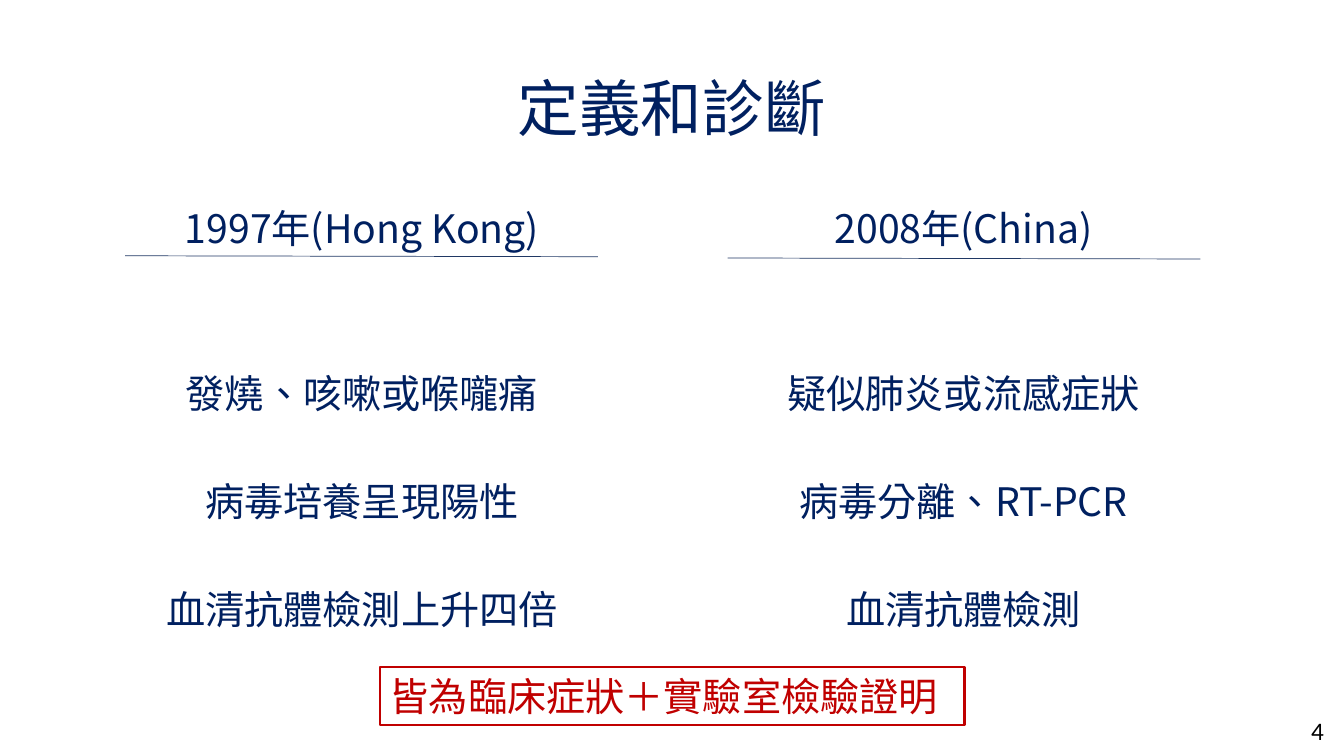
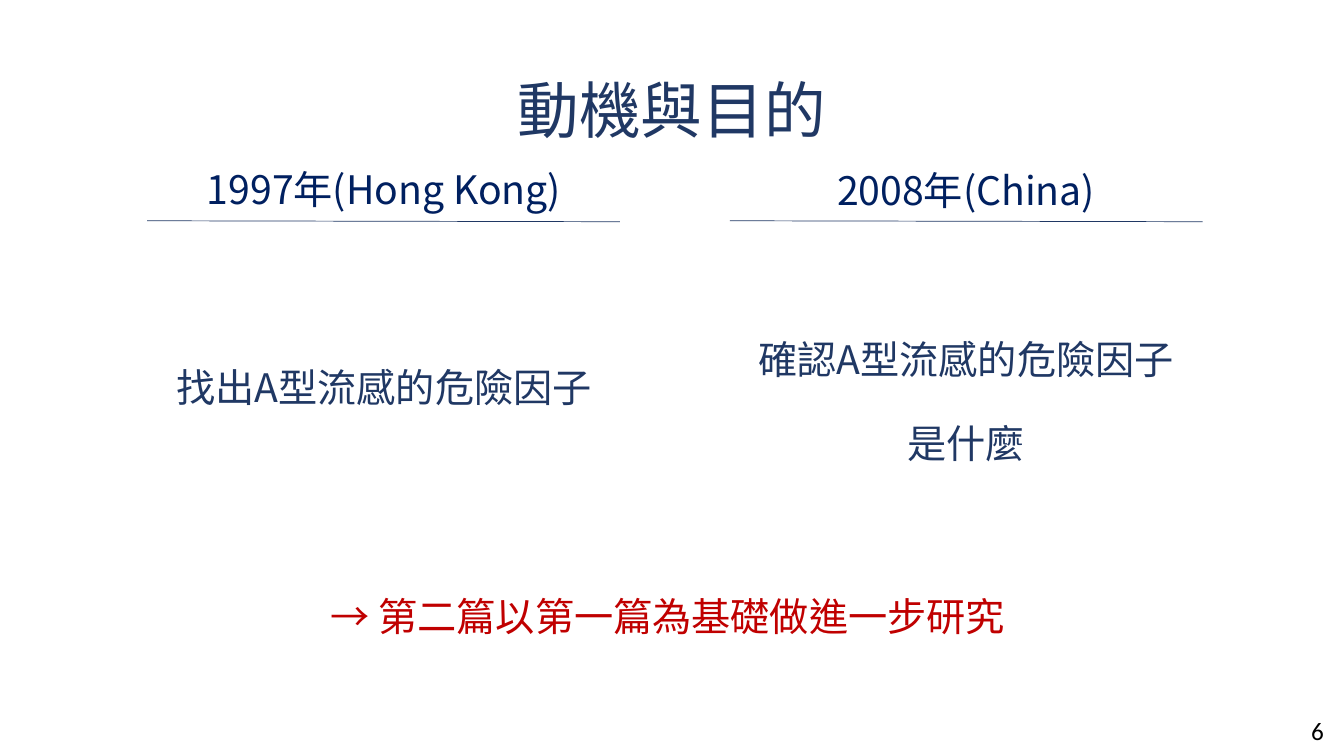
from lxml import etree
from pptx import Presentation
from pptx.dml.color import RGBColor
from pptx.enum.shapes import MSO_CONNECTOR, MSO_SHAPE
from pptx.enum.text import MSO_ANCHOR, PP_ALIGN
from pptx.oxml.ns import qn
from pptx.util import Pt

NAVY = RGBColor(0x00, 0x20, 0x60)
SLATE = RGBColor(0x20, 0x38, 0x64)
RED = RGBColor(0xC0, 0x00, 0x00)
BLACK = RGBColor(0x00, 0x00, 0x00)
CJK = "Noto Sans CJK SC"
LATIN = "Calibri"
LEFT, CENTER = PP_ALIGN.LEFT, PP_ALIGN.CENTER
TOP, MIDDLE = MSO_ANCHOR.TOP, MSO_ANCHOR.MIDDLE
RECT = MSO_SHAPE.RECTANGLE
STRAIGHT = MSO_CONNECTOR.STRAIGHT
TITLE_SIZE, BODY_SIZE, PAGE_SIZE = 44, 28, 18
HEAD_PITCH, PARA_GAP = 32, 10
RULE_WIDTH, RULE_DROP = 337.7, 0.7


class Deck:
    """Holds the shared style and the current slide."""

    def __init__(self):
        self.prs = Presentation()
        self.prs.slide_width, self.prs.slide_height = Pt(960), Pt(540)
        self.s = None

    def slide(self, title, top, color, page):
        self.s = self.prs.slides.add_slide(self.prs.slide_layouts[6])
        p = self.box(66, top, 828, 104.4, MIDDLE).paragraphs[0]
        self.style_text(p, title, color, TITLE_SIZE, CENTER)
        p.line_spacing = 0.9
        p = self.box(929.5, 507.6, 24, 29).paragraphs[0]
        self.style_text(p, page, BLACK, PAGE_SIZE, LEFT, LATIN)

    def box(self, x, y, w, h, anchor=TOP):
        return self.frame(self.s.shapes.add_textbox(Pt(x), Pt(y), Pt(w), Pt(h)), anchor)

    def frame(self, sp, anchor):
        tf = sp.text_frame
        tf.word_wrap = True
        tf.vertical_anchor = anchor
        return tf

    def style_text(self, p, text, color, size=BODY_SIZE, align=LEFT, font=CJK):
        p.text = text
        p.alignment = align
        for r in p.runs:
            r.font.size, r.font.name = Pt(size), font
            r.font.color.rgb = color
            rpr = r._r.get_or_add_rPr()
            rpr.set("lang", "zh-TW")
            etree.SubElement(rpr, qn("a:ea")).set("typeface", font)

    def column(self, x, y, w, h, head, items, color, pitch, first_gap):
        tf = self.box(x, y, w, h)
        p = tf.paragraphs[0]
        self.style_text(p, head, NAVY, align=CENTER)
        p.line_spacing = Pt(HEAD_PITCH)
        for i, item in enumerate(items):
            p = tf.add_paragraph()
            self.style_text(p, item, color, align=CENTER)
            p.line_spacing = Pt(pitch)
            p.space_before = Pt(PARA_GAP if i else first_gap)

    def rule(self, x, y):
        ln = self.s.shapes.add_connector(
            STRAIGHT, Pt(x), Pt(y), Pt(x + RULE_WIDTH), Pt(y + RULE_DROP))
        ln.line.color.rgb, ln.line.width = SLATE, Pt(0.5)
        etree.SubElement(ln._element.spPr, qn("a:effectLst"))

    def framed_note(self, x, y, w, h, text):
        sp = self.s.shapes.add_shape(RECT, Pt(x), Pt(y), Pt(w), Pt(h))
        sp.shadow.inherit = False
        sp.fill.background()
        sp.line.color.rgb, sp.line.width = RED, Pt(1.5)
        self.style_text(self.frame(sp, MIDDLE).paragraphs[0], text, RED)

    def note(self, x, y, w, h, text):
        self.style_text(self.box(x, y, w, h, MIDDLE).paragraphs[0], text, RED)


def main():
    deck = Deck()
    hong_kong, china = "1997年(Hong Kong)", "2008年(China)"

    deck.slide("定義和診斷", 27.4, NAVY, "4")
    deck.column(54.5, 144, 408, 342.7, hong_kong,
                ["發燒、咳嗽或喉嚨痛", "病毒培養呈現陽性", "血清抗體檢測上升四倍"],
                NAVY, 67, 51)
    deck.rule(89.3, 182.7)
    deck.column(478, 144, 420.5, 342.7, china,
                ["疑似肺炎或流感症狀", "病毒分離、RT-PCR", "血清抗體檢測"],
                NAVY, 67, 51)
    deck.rule(519.8, 184.3)
    deck.framed_note(271.4, 476.6, 417.6, 41.2, "皆為臨床症狀＋實驗室檢驗證明")

    deck.slide("動機與目的", 28.8, SLATE, "6")
    deck.column(54, 116.5, 440.6, 388.8, hong_kong,
                ["找出A型流感的危險因子"], SLATE, 50, 91)
    deck.column(486, 116.5, 408, 370, china,
                ["確認A型流感的危險因子", "是什麼"], SLATE, 50, 71)
    for x in (105.1, 521.3):
        deck.rule(x, 157.7)
    deck.note(229, 419, 502.6, 41.2, "→ 第二篇以第一篇為基礎做進一步研究")

    deck.prs.save("out.pptx")


if __name__ == "__main__":
    main()
